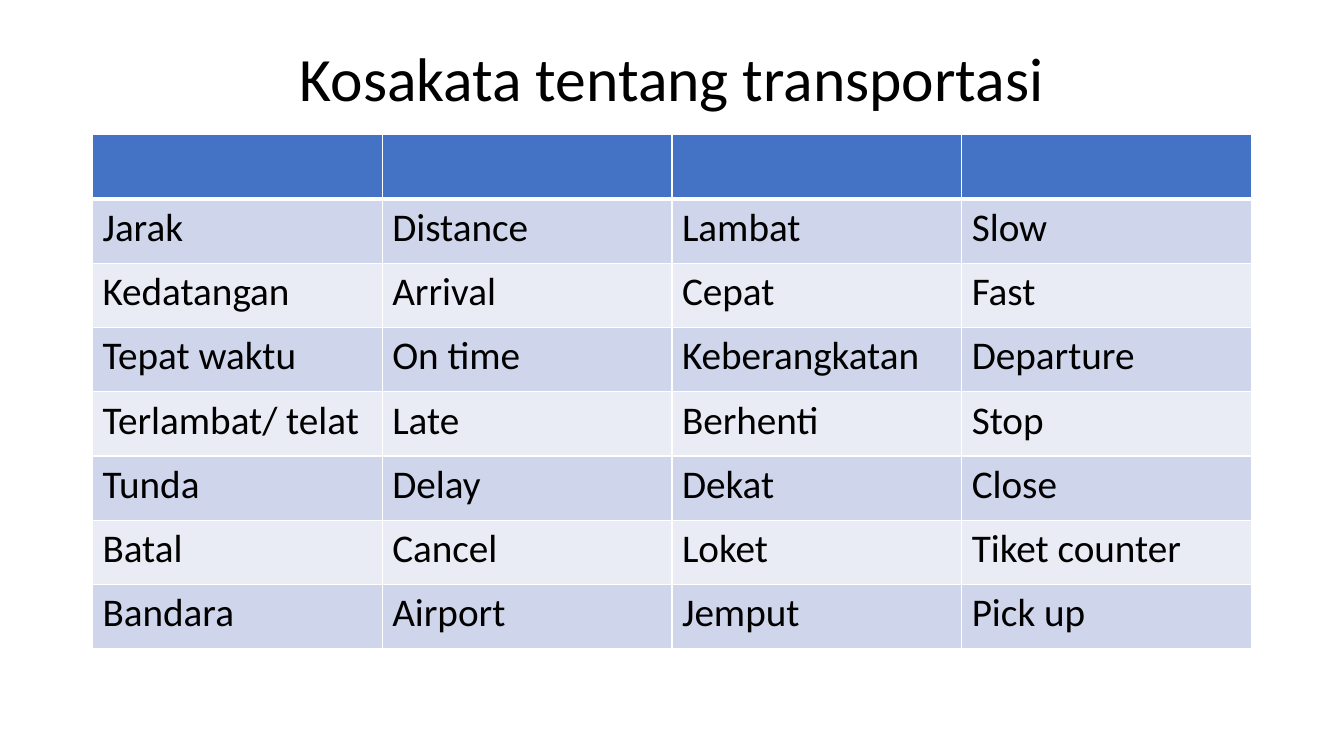
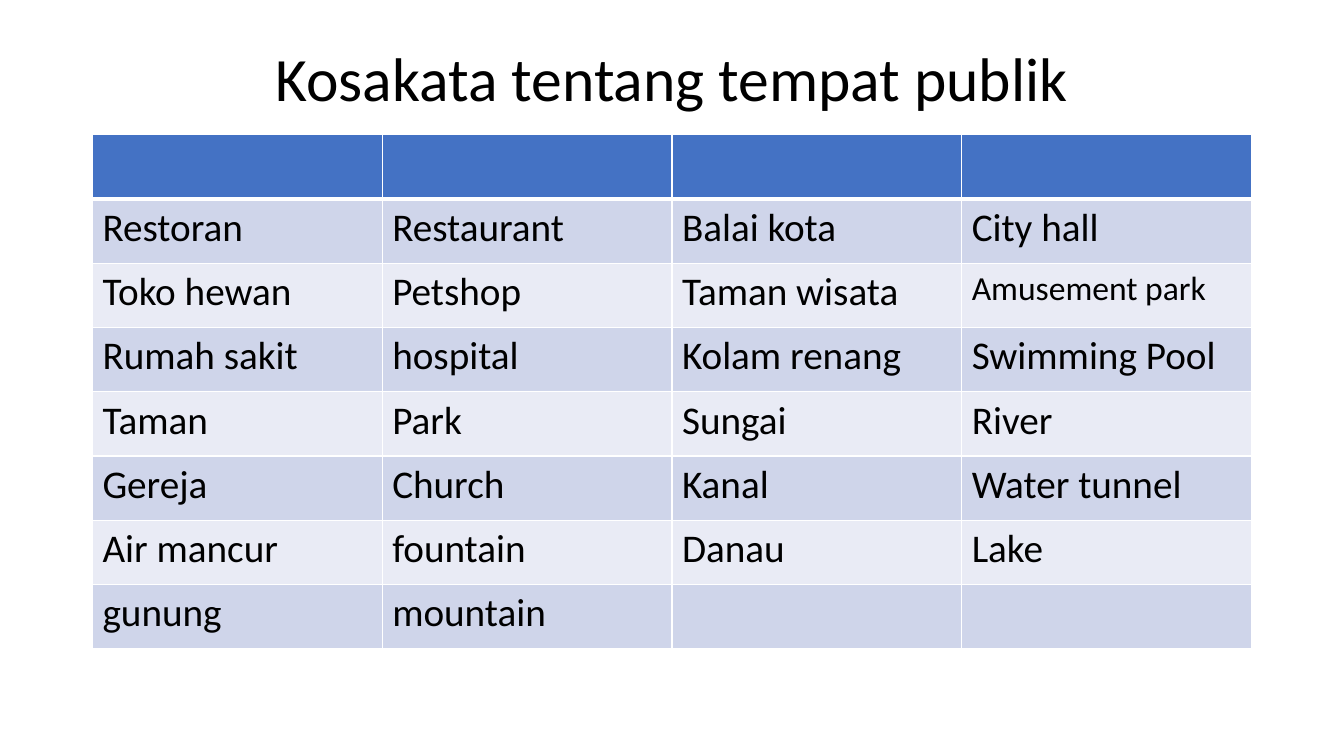
"""Build two Indonesian-English vocabulary slides with one shared table style."""
from dataclasses import dataclass

import lxml.etree
import pptx
import pptx.dml.color
import pptx.enum.text
import pptx.oxml.ns
import pptx.util
from pptx.util import Cm


@dataclass(frozen=True)
class Theme:
    font: str = "Calibri"
    text: str = "000000"
    header: str = "4472C4"
    bands: tuple = ("CFD5EA", "E9EBF5")
    border: str = "FFFFFF"
    title_size: int = 44
    cell_size: int = 28
    small_size: int = 24
    thin: int = 1
    thick: int = 3


class Deck:
    left, width = Cm(2.33), Cm(29.21)

    def __init__(self, theme):
        self.theme = theme
        self.prs = pptx.Presentation()
        self.prs.slide_width, self.prs.slide_height = Cm(33.87), Cm(19.05)
        self.s = None

    def slide(self):
        self.s = self.prs.slides.add_slide(self.prs.slide_layouts[6])

    def style(self, p, size):
        for r in p.runs:
            r.font.name = self.theme.font
            r.font.size = pptx.util.Pt(size)
            r.font.bold = False
            r.font.color.rgb = pptx.dml.color.RGBColor.from_string(self.theme.text)

    def title(self, text):
        sp = self.s.shapes.add_textbox(self.left, Cm(1.02), self.width, Cm(2.06))
        tf = sp.text_frame
        tf.word_wrap = True
        tf.vertical_anchor = pptx.enum.text.MSO_ANCHOR.MIDDLE
        p = tf.paragraphs[0]
        p.text = text
        p.alignment = pptx.enum.text.PP_ALIGN.CENTER
        p.line_spacing = 0.9
        self.style(p, self.theme.title_size)

    def borders(self, cell, top, bottom):
        qn = pptx.oxml.ns.qn
        tc_pr = cell._tc.get_or_add_tcPr()
        thin = self.theme.thin
        for side, width in zip("LRTB", (thin, thin, top, bottom)):
            ln = lxml.etree.SubElement(tc_pr, qn(f"a:ln{side}"), w=str(pptx.util.Pt(width)))
            fill = lxml.etree.SubElement(ln, qn("a:solidFill"))
            lxml.etree.SubElement(fill, qn("a:srgbClr"), val=self.theme.border)

    def cell(self, cell, row, text, small):
        t = self.theme
        self.borders(cell, t.thick if row == 1 else t.thin, t.thick if row == 0 else t.thin)
        cell.fill.solid()
        color = t.bands[(row - 1) % 2] if row else t.header
        cell.fill.fore_color.rgb = pptx.dml.color.RGBColor.from_string(color)
        if text:
            cell.text_frame.text = text
            self.style(cell.text_frame.paragraphs[0], t.small_size if text in small else t.cell_size)

    def table(self, words, small=()):
        rows = [("",) * len(words[0]), *words]
        n_rows, n_cols = len(rows), len(rows[0])
        table = self.s.shapes.add_table(
            n_rows, n_cols, self.left, Cm(3.39), self.width, Cm(1.62) * n_rows).table
        for i, row in enumerate(rows):
            for j, text in enumerate(row):
                self.cell(table.cell(i, j), i, text, small)


TRANSPORT = [
    ("Jarak", "Distance", "Lambat", "Slow"),
    ("Kedatangan", "Arrival", "Cepat", "Fast"),
    ("Tepat waktu", "On time", "Keberangkatan", "Departure"),
    ("Terlambat/ telat", "Late", "Berhenti", "Stop"),
    ("Tunda", "Delay", "Dekat", "Close"),
    ("Batal", "Cancel", "Loket", "Tiket counter"),
    ("Bandara", "Airport", "Jemput", "Pick up"),
]
PUBLIC_PLACES = [
    ("Restoran", "Restaurant", "Balai kota", "City hall"),
    ("Toko hewan", "Petshop", "Taman wisata", "Amusement park"),
    ("Rumah sakit", "hospital", "Kolam renang", "Swimming Pool"),
    ("Taman", "Park", "Sungai", "River"),
    ("Gereja", "Church", "Kanal", "Water tunnel"),
    ("Air mancur", "fountain", "Danau", "Lake"),
    ("gunung", "mountain", "", ""),
]


def main():
    deck = Deck(Theme())
    for title, words, small in (
        ("Kosakata tentang transportasi", TRANSPORT, ()),
        ("Kosakata tentang tempat publik", PUBLIC_PLACES, ("Amusement park",)),
    ):
        deck.slide()
        deck.title(title)
        deck.table(words, small)
    deck.prs.save("out.pptx")


if __name__ == "__main__":
    main()
